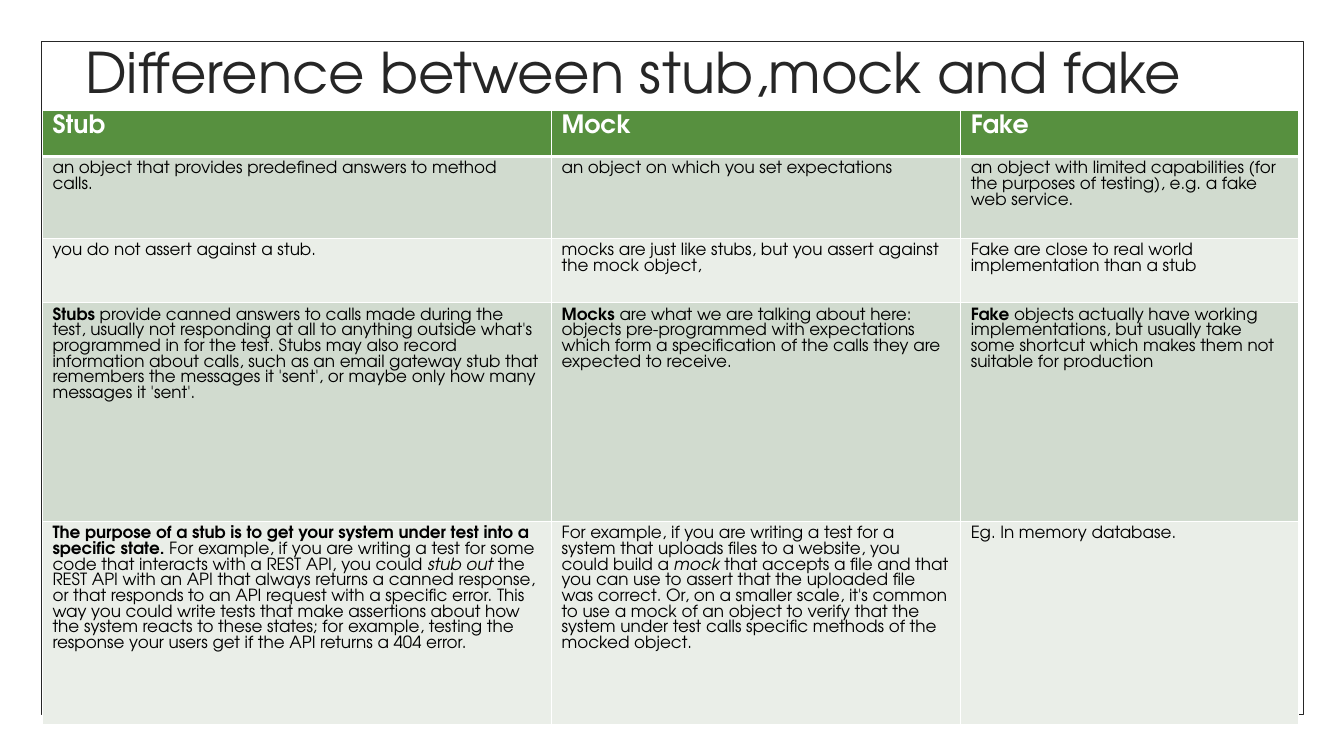
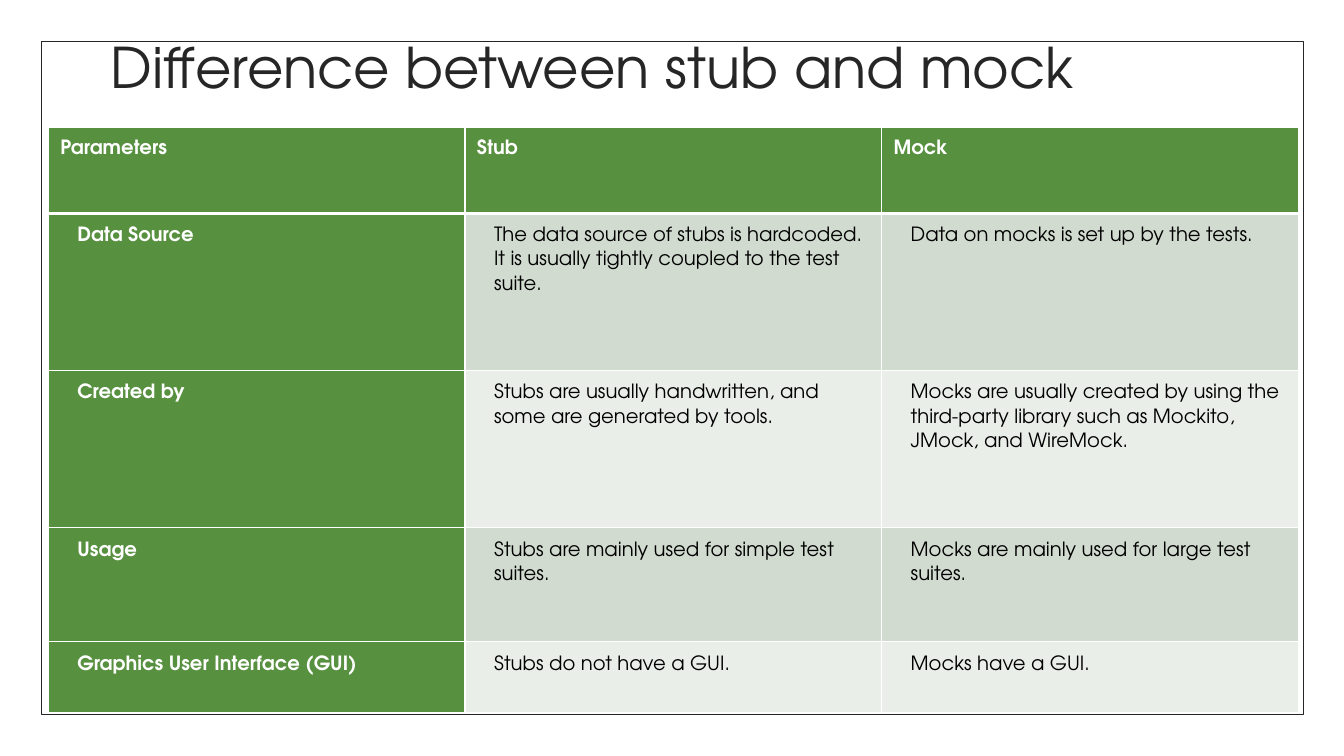
from lxml.etree import SubElement
from pptx import Presentation
from pptx.dml.color import RGBColor
from pptx.enum.shapes import MSO_SHAPE as Preset
from pptx.enum.text import MSO_ANCHOR as Anchor
from pptx.oxml.ns import qn
from pptx.util import Cm, Pt

WHITE = RGBColor(0xFF, 0xFF, 0xFF)
BLACK = RGBColor(0, 0, 0)
INK = RGBColor(0x26, 0x26, 0x26)
GREEN = RGBColor(0x57, 0x90, 0x3F)
BANDS = (RGBColor(0xD1, 0xDB, 0xCF), RGBColor(0xEA, 0xEE, 0xE8))
FONT = "TeX Gyre Adventor"

THREE_WAY = [
    ["Stub", "Mock", "Fake"],
    ["an object that provides predefined answers to method calls.",
     "an object on which you set expectations",
     "an object with limited capabilities (for the purposes of testing), e.g. a fake web service."],
    ["you do not assert against a stub.",
     "mocks are just like stubs, but you assert against the mock object,",
     "Fake are close to real world implementation than a stub"],
    [[("Stubs", "bold"),
      (" provide canned answers to calls made during the test, usually not responding at all to "
       "anything outside what's programmed in for the test. Stubs may also record information about "
       "calls, such as an email gateway stub that remembers the messages it 'sent', or maybe only "
       "how many messages it 'sent'.", None)],
     [("Mocks", "bold"),
      (" are what we are talking about here: objects pre-programmed with expectations which form a "
       "specification of the calls they are expected to receive.", None)],
     [("Fake", "bold"),
      (" objects actually have working implementations, but usually take some shortcut which makes "
       "them not suitable for production", None)]],
    [[("The purpose of a stub is to get your system under test into a specific state.", "bold"),
      (" For example, if you are writing a test for some code that interacts with a REST API, "
       "you could ", None),
      ("stub out", "italic"),
      (" the REST API with an API that always returns a canned response, or that responds to an API "
       "request with a specific error. This way you could write tests that make assertions about how "
       "the system reacts to these states; for example, testing the response your users get if the "
       "API returns a 404 error.", None)],
     [("For example, if you are writing a test for a system that uploads files to a website, "
       "you could build a ", None),
      ("mock", "italic"),
      (" that accepts a file and that you can use to assert that the uploaded file was correct. Or, "
       "on a smaller scale, it's common to use a mock of an object to verify that the system under "
       "test calls specific methods of the mocked object.", None)],
     "Eg. In memory database."],
]

TWO_WAY = [
    ["Parameters", "Stub", "Mock"],
    ["Data Source",
     "The data source of stubs is hardcoded. It is usually tightly coupled to the test suite.",
     "Data on mocks is set up by the tests."],
    ["Created by",
     "Stubs are usually handwritten, and some are generated by tools.",
     "Mocks are usually created by using the third-party library such as Mockito, JMock, and WireMock."],
    ["Usage",
     "Stubs are mainly used for simple test suites.",
     "Mocks are mainly used for large test suites."],
    ["Graphics User Interface (GUI)", "Stubs do not have a GUI.", "Mocks have a GUI."],
]


def put_text(frame, content, size=12, color=BLACK, bold=False, spacing=None, after=None, indent=0):
    """Write one paragraph of plain text or of (text, emphasis) pieces."""
    paragraph = frame.paragraphs[0]
    if spacing:
        paragraph.line_spacing = spacing
    if after is not None:
        paragraph.space_after = Pt(after)
    if indent:
        properties = paragraph._p.get_or_add_pPr()
        properties.set("marL", str(Cm(indent)))
        properties.set("indent", "0")
    pieces = [(content, None)] if isinstance(content, str) else content
    for words, emphasis in pieces:
        run = paragraph.add_run()
        run.text = words
        run.font.name = FONT
        run.font.size = Pt(size)
        run.font.color.rgb = color
        run.font.bold = bold or emphasis == "bold"
        run.font.italic = emphasis == "italic"


def rule_cell(cell, top, bottom):
    """Give a cell white borders, with the top and bottom widths in points."""
    properties = cell._tc.get_or_add_tcPr()
    for side, width in (("L", 1), ("R", 1), ("T", top), ("B", bottom)):
        line = SubElement(properties, qn(f"a:ln{side}"), w=str(Pt(width)))
        SubElement(SubElement(line, qn("a:solidFill")), qn("a:srgbClr"), val=str(WHITE))


def add_frame(slide, left=1.04, top=1.04, width=31.8, height=16.97):
    """Draw the thin outline that every slide carries."""
    outline = slide.shapes.add_shape(Preset.RECTANGLE, Cm(left), Cm(top), Cm(width), Cm(height))
    outline.shadow.inherit = False
    outline.fill.background()
    outline.line.color.rgb = INK
    outline.line.width = Pt(0.5)


def add_title(slide, words, left, top, width, height):
    """Place the slide title, centred vertically in its box."""
    title = slide.shapes.add_textbox(Cm(left), Cm(top), Cm(width), Cm(height)).text_frame
    title.word_wrap = True
    title.vertical_anchor = Anchor.MIDDLE
    put_text(title, words, size=40, color=INK, spacing=0.9)


def add_comparison(slide, content, left, top, widths, heights, head, body,
                   head_inset=None, body_inset=None, label_column=False):
    """Place a banded table with a green header and, if asked, a green first column."""
    table = slide.shapes.add_table(len(heights), len(widths), Cm(left), Cm(top),
                                   Cm(sum(widths)), Cm(sum(heights))).table
    table.first_col = label_column
    for column, width in zip(table.columns, widths):
        column.width = Cm(width)
    for r, (row, height, entries) in enumerate(zip(table.rows, heights, content)):
        row.height = Cm(height)
        inset = body_inset if r else head_inset
        for c, (cell, entry) in enumerate(zip(row.cells, entries)):
            label = r == 0 or (label_column and c == 0)
            rule_cell(cell, top=3 if r == 1 else 1, bottom=1 if r else 3)
            cell.fill.solid()
            cell.fill.fore_color.rgb = GREEN if label else BANDS[(r - 1) % 2]
            if inset:
                cell.margin_left = cell.margin_right = Cm(inset)
                cell.margin_top = cell.margin_bottom = Cm(inset)
            put_text(cell.text_frame, entry, color=WHITE if label else BLACK, bold=label,
                     **(body if r else head))


def build_three_way(slide):
    """Compare stub, mock and fake."""
    add_frame(slide)
    add_comparison(slide, THREE_WAY, 1.07, 2.77, [12.83, 10.31, 8.51],
                   [1.17, 2.06, 1.63, 5.51, 5.11], head={"size": 18}, body={"size": 12})
    add_title(slide, "Difference between stub,mock and fake", 1.9, 0, 30.48, 3.81)


def build_two_way(slide):
    """Compare stub and mock by parameter."""
    add_frame(slide)
    add_title(slide, "Difference between stub and mock", 2.54, 0.41, 27.94, 2.74)
    add_comparison(slide, TWO_WAY, 1.22, 3.2, [10.5] * 3, [2.18, 3.96, 3.96, 2.87, 1.78],
                   head={"size": 14, "spacing": 1.07, "after": 8},
                   body={"size": 14, "spacing": Pt(17.2), "after": 8, "indent": 0.53},
                   head_inset=0.3, body_inset=0.2, label_column=True)


def main():
    """Build and save the presentation."""
    deck = Presentation()
    deck.slide_width, deck.slide_height = Cm(33.87), Cm(19.05)
    for build in (build_three_way, build_two_way):
        build(deck.slides.add_slide(deck.slide_layouts[6]))
    deck.save("out.pptx")


if __name__ == "__main__":
    main()
